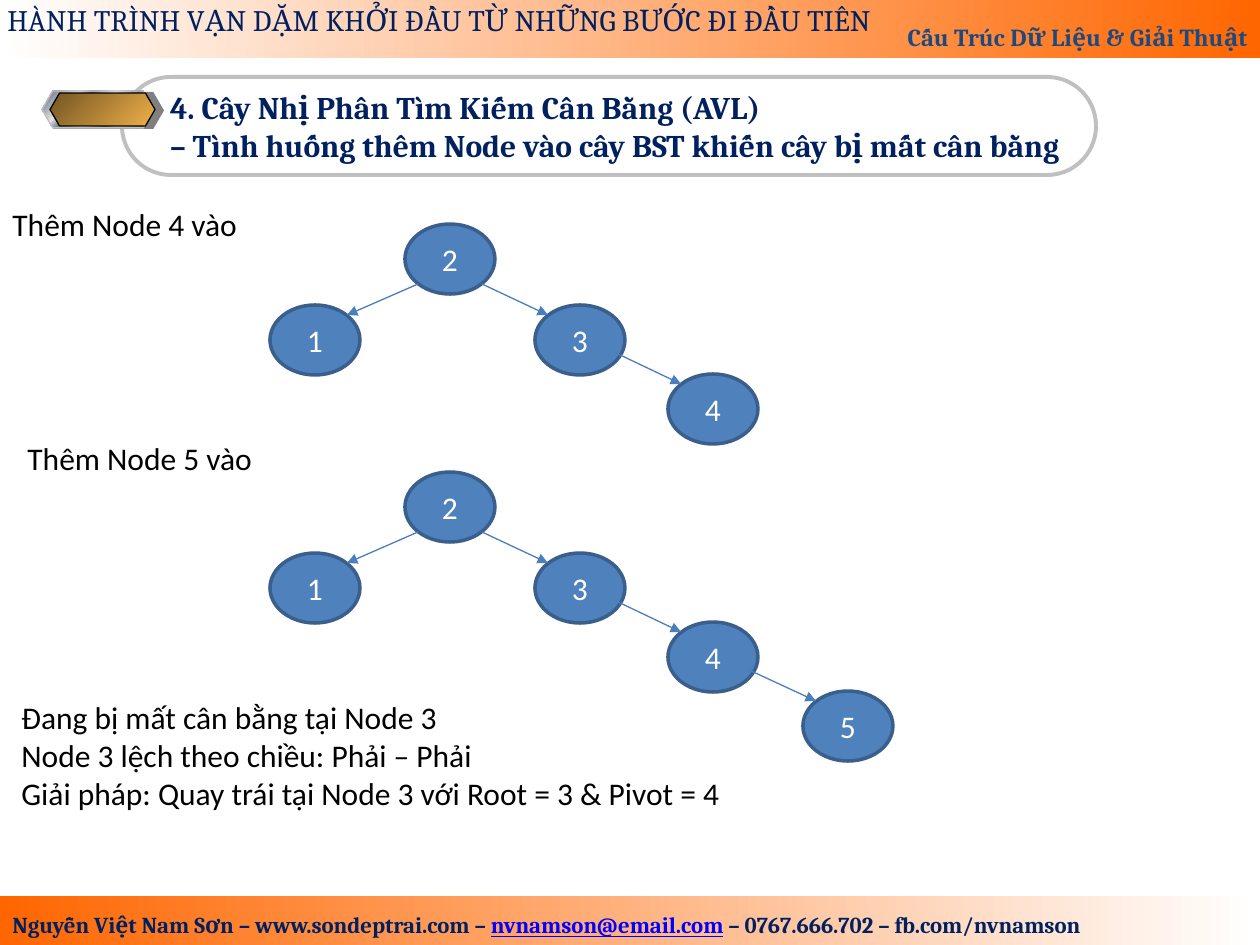
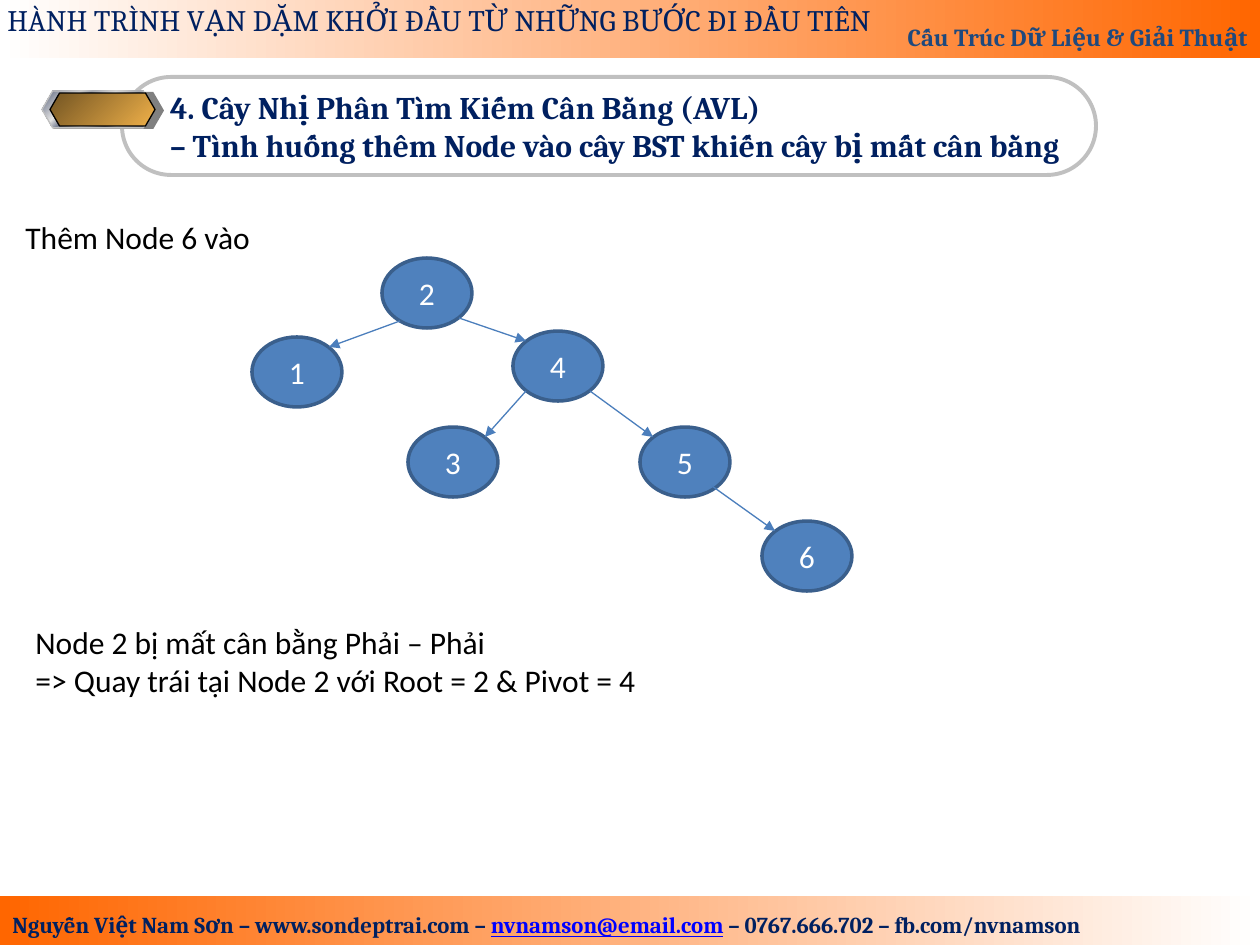
from lxml import etree
from pptx import Presentation
from pptx.dml.color import RGBColor
from pptx.enum.shapes import MSO_CONNECTOR, MSO_SHAPE
from pptx.enum.text import MSO_ANCHOR, MSO_AUTO_SIZE, PP_ALIGN
from pptx.oxml.ns import qn
from pptx.util import Pt

RECT, ROUND_RECT = MSO_SHAPE.RECTANGLE, MSO_SHAPE.ROUNDED_RECTANGLE
HEXAGON, OVAL = MSO_SHAPE.HEXAGON, MSO_SHAPE.OVAL
STRAIGHT = MSO_CONNECTOR.STRAIGHT
LEFT, CENTER, RIGHT = PP_ALIGN.LEFT, PP_ALIGN.CENTER, PP_ALIGN.RIGHT
TOP, MIDDLE, BOTTOM = MSO_ANCHOR.TOP, MSO_ANCHOR.MIDDLE, MSO_ANCHOR.BOTTOM

SCALE = 914400 / 126
SLIDE_W, SLIDE_H = 1260, 945
NODE_W, NODE_H = 90, 70
RIM_X, RIM_Y = 13, 10  # inset of the diagonal points on a node's rim

C = {
    "white": "FFFFFF", "black": "000000", "orange": "FF6600",
    "navy": "002060", "course": "1F497D", "link": "0000FF",
    "frame": "C0C0C0", "shade": "808080", "chrome": "E6E6E6", "steel": "7D8496",
    "bronze": "735523", "gold": "EFB049",
    "node": "4F81BD", "rim": "3A5F8C", "arrow": "4B7EBC",
}
BAND = [(0, "white"), (100, "orange")]
BAND_REVERSED = [(0, "orange"), (100, "white")]
BRONZE = [(0, "bronze"), (100, "gold")]
CHROME = [(0, "chrome"), (7, "steel"), (26, "chrome"), (34, "steel"),
          (46, "chrome"), (50, "white"), (54, "chrome"), (66, "steel"),
          (74, "chrome"), (93, "steel"), (100, "chrome")]

MOTTO = "HÀNH TRÌNH VẠN DẶM KHỞI ĐẦU TỪ NHỮNG BƯỚC ĐI ĐẦU TIÊN"
COURSE = "Cấu Trúc Dữ Liệu & Giải Thuật"
CONTACT = [("Nguyễn Việt Nam Sơn – www.sondeptrai.com – ", False),
           ("nvnamson@email.com", True),
           (" – 0767.666.702 – fb.com/nvnamson", False)]
TITLE = ["4. Cây Nhị Phân Tìm Kiếm Cân Bằng (AVL)",
         "– Tình huống thêm Node vào cây BST khiến cây bị mất cân bằng"]

# Node label -> offset in the tree
CHAIN = {"2": (135, 0), "1": (0, 81), "3": (265, 81), "4": (398, 150), "5": (533, 219)}
BALANCED = {"2": (130, 0), "1": (0, 79), "4": (261, 73), "3": (156, 169),
            "5": (388, 169), "6": (510, 263)}
# Parent, child and, where it leaves the diagonal, the start inside the parent
SIDE = (81, 48)
CHAIN_EDGES = [("2", "1"), ("2", "3"), ("3", "4", SIDE), ("4", "5", SIDE)]
BALANCED_EDGES = [("2", "1", (18, 63)), ("2", "4"), ("4", "3"), ("4", "5"),
                  ("5", "6", (72, 59))]


def px(*lengths):
    return [round(n * SCALE) for n in lengths]


def rgb(name):
    return RGBColor.from_string(C[name])


def write(tf, paragraphs, size=18, font="Calibri", color="black", bold=False,
          align=LEFT, anchor=TOP):
    """Fill a text frame; a paragraph is a string or a list of (text, is_link)."""
    tf.word_wrap = True
    tf.auto_size = MSO_AUTO_SIZE.NONE
    tf.vertical_anchor = anchor
    for i, runs in enumerate(paragraphs):
        p = tf.add_paragraph() if i else tf.paragraphs[0]
        p.alignment = align
        for text, is_link in [(runs, False)] if isinstance(runs, str) else runs:
            r = p.add_run()
            r.text = text
            r.font.size, r.font.name, r.font.bold = Pt(size), font, bold
            r.font.underline = is_link
            r.font.color.rgb = rgb("link" if is_link else color)


def add_text(slide, box, paragraphs, **style):
    write(slide.shapes.add_textbox(*px(*box)).text_frame, paragraphs, **style)


def set_gradient(sp, stops, angle):
    sp.fill.gradient()
    grad = sp._element.spPr.find(qn("a:gradFill"))
    gs_list = grad.find(qn("a:gsLst"))
    for gs in list(gs_list):
        gs_list.remove(gs)
    for pos, color in stops:
        gs = etree.SubElement(gs_list, qn("a:gs"), pos=str(pos * 1000))
        etree.SubElement(gs, qn("a:srgbClr"), val=C[color])
    grad.find(qn("a:lin")).set("ang", str(angle * 60000))


def add_shape(slide, kind, box, fill=None, line=None, width=0.75, angle=0):
    """Add a shape; fill is a colour name, a list of gradient stops or None."""
    sp = slide.shapes.add_shape(kind, *px(*box))
    sp.shadow.inherit = False
    if fill is None:
        sp.fill.background()
    elif isinstance(fill, str):
        sp.fill.solid()
        sp.fill.fore_color.rgb = rgb(fill)
    else:
        set_gradient(sp, fill, angle)
    if line:
        sp.line.color.rgb = rgb(line)
        sp.line.width = Pt(width)
    else:
        sp.line.fill.background()
    return sp


def add_arrow(slide, start, end):
    cxn = slide.shapes.add_connector(STRAIGHT, *px(*start, *end))
    cxn.line.color.rgb = rgb("arrow")
    cxn.line.width = Pt(0.75)
    etree.SubElement(cxn.line._get_or_add_ln(), qn("a:tailEnd"), type="triangle")
    etree.SubElement(cxn._element.spPr, qn("a:effectLst"))


def header(slide, x, y, w, h):
    band = add_shape(slide, RECT, (x, y, w, h), BAND)
    write(band.text_frame, [COURSE], size=14, font="Cambria", color="course",
          bold=True, align=RIGHT, anchor=BOTTOM)
    add_text(slide, (x - 5, y - 4, 935, 49), [MOTTO], size=17, font="Cambria",
             color="navy")


def footer(slide, x, y, w, h):
    add_shape(slide, RECT, (x, y, w, h), BAND_REVERSED)
    add_text(slide, (x, y + 9, 1139, 40), [CONTACT], size=13, font="Cambria",
             color="navy", bold=True)


def title_bar(slide, x, y, w, h):
    """Rounded frame around the title, with a metal badge on its left end."""
    frame = add_shape(slide, ROUND_RECT, (x, y, w, h), line="frame", width=2.25)
    frame.adjustments[0] = 0.5
    title = slide.shapes.title
    title.left, title.top, title.width, title.height = px(x + 28, y, w - 40, h)
    tf = title.text_frame
    tf.margin_left = tf.margin_right = 0
    write(tf, TITLE, font="Cambria", color="navy", bold=True, anchor=MIDDLE)
    tf.paragraphs[0]._p.get_or_add_pPr().set("marL", str(px(20)[0]))
    for box, fill, line in [
        ((x - 79, y + 15, 121, 37), "shade", None),
        ((x - 80, y + 14, 112, 37), CHROME, "frame"),
        ((x - 72, y + 16, 105, 33), BRONZE, "black"),
    ]:
        badge = add_shape(slide, HEXAGON, box, fill, line, angle=45)
        badge.adjustments[0] = 0.289


def tree(slide, x, y, nodes, edges):
    for label, (dx, dy) in nodes.items():
        sp = add_shape(slide, OVAL, (x + dx, y + dy, NODE_W, NODE_H), "node", "rim", 2)
        write(sp.text_frame, [label], color="white", align=CENTER, anchor=MIDDLE)
    for parent, child, *start in edges:
        (px0, py0), (cx0, cy0) = nodes[parent], nodes[child]
        near, far = RIM_X, NODE_W - RIM_X
        out_x, in_x = (near, far) if cx0 < px0 else (far, near)
        sx, sy = start[0] if start else (out_x, NODE_H - RIM_Y)
        add_arrow(slide, (x + px0 + sx, y + py0 + sy),
                  (x + cx0 + in_x, y + cy0 + RIM_Y))


def base_slide(prs):
    slide = prs.slides.add_slide(prs.slide_layouts[5])
    header(slide, 0, 0, SLIDE_W, 58)
    footer(slide, 0, 896, SLIDE_W, 49)
    title_bar(slide, 122, 77, 974, 98)
    return slide


def insert_4_and_5(prs):
    slide = base_slide(prs)
    add_text(slide, (0, 199, 260, 50), ["Thêm Node 4 vào"])
    without_5 = {label: at for label, at in CHAIN.items() if label != "5"}
    tree(slide, 270, 224, without_5, CHAIN_EDGES[:-1])
    add_text(slide, (15, 433, 260, 50), ["Thêm Node 5 vào"])
    tree(slide, 270, 472, CHAIN, CHAIN_EDGES)
    add_text(slide, (9, 692, 750, 127), [
        "Đang bị mất cân bằng tại Node 3",
        "Node 3 lệch theo chiều: Phải – Phải",
        "Giải pháp: Quay trái tại Node 3 với Root = 3 & Pivot = 4",
    ])


def insert_6(prs):
    slide = base_slide(prs)
    add_text(slide, (13, 212, 260, 50), ["Thêm Node 6 vào"])
    tree(slide, 252, 258, BALANCED, BALANCED_EDGES)
    add_text(slide, (23, 617, 650, 89), [
        "Node 2 bị mất cân bằng Phải – Phải",
        "=> Quay trái tại Node 2 với Root = 2 & Pivot = 4",
    ])


def main():
    prs = Presentation()
    prs.slide_width, prs.slide_height = px(SLIDE_W, SLIDE_H)
    insert_4_and_5(prs)
    insert_6(prs)
    prs.save("out.pptx")


if __name__ == "__main__":
    main()
